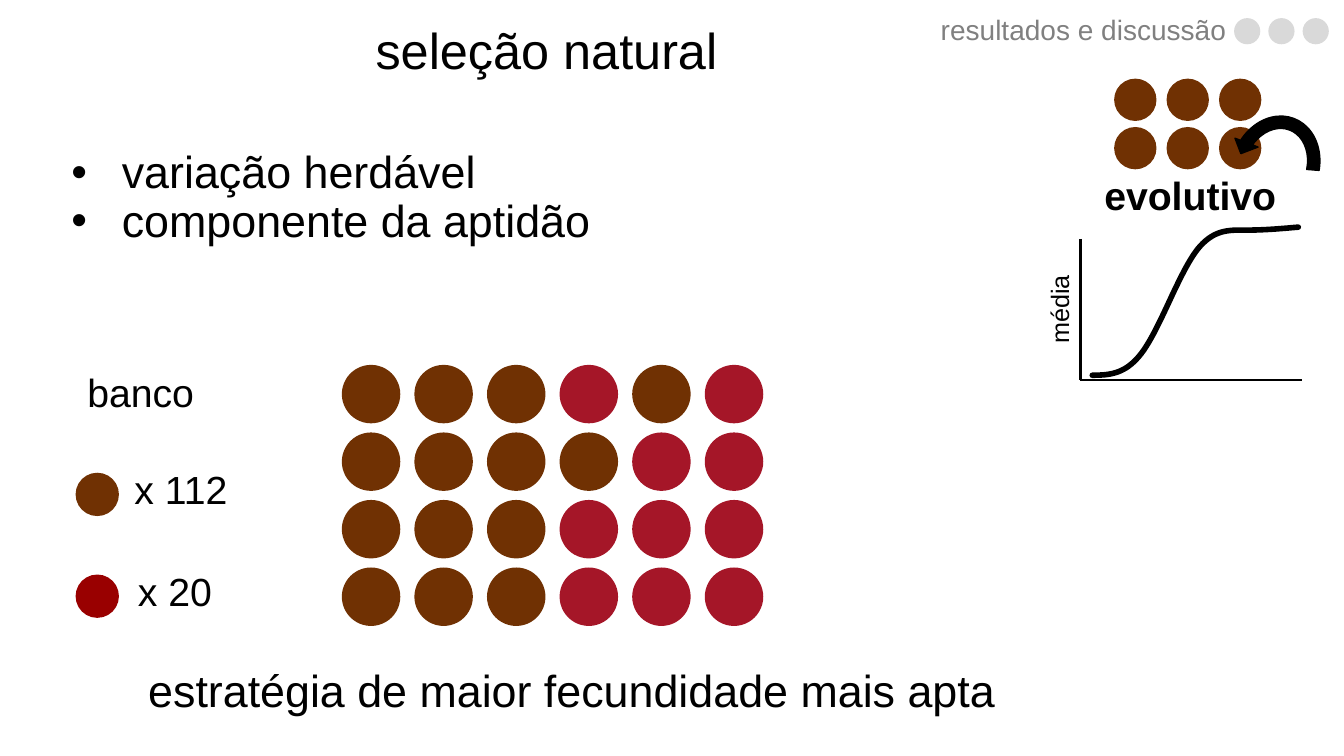
"""Build the natural selection slide."""
from lxml.etree import SubElement as Sub
from pptx import Presentation
from pptx.chart.data import CategoryChartData as Data
from pptx.dml.color import RGBColor
from pptx.enum.chart import XL_CHART_TYPE as Chart
from pptx.enum.shapes import MSO_CONNECTOR as Line, MSO_SHAPE as Shape
from pptx.enum.text import MSO_ANCHOR as Anchor, PP_ALIGN as Align
from pptx.oxml.ns import qn
from pptx.util import Pt

SCALE = 9144
BLACK, BROWN, RED, DARK = "000000", "703103", "A51628", "990000"
GREY, PALE = "808080", "D9D9D9"
BANK = ["BBBRBR", "BBBBRR", "BBBRRR", "BBBRRR"]


def emu(*px):
    return [round(n * SCALE) for n in px]


def paint(fmt, color):
    if hasattr(fmt, "solid"):
        fmt.solid()
        fmt = fmt.fore_color
    fmt.rgb = RGBColor.from_string(color)


def add_text(slide, box, text, size, color=BLACK, bold=False, align=Align.CENTER,
             anchor=Anchor.MIDDLE, gap=0.9, inset=(10, 5), turn=0, bullet=False):
    shape = slide.shapes.add_textbox(*emu(*box))
    shape.rotation = turn
    frame = shape.text_frame
    frame.word_wrap = True
    frame.vertical_anchor = anchor
    side, edge = emu(*inset)
    frame.margin_left = frame.margin_right = side
    frame.margin_top = frame.margin_bottom = edge
    frame.text = text
    for para in frame.paragraphs:
        para.alignment = align
        para.line_spacing = gap
        if bullet:
            props = para._p.get_or_add_pPr()
            props.set("marL", str(50 * SCALE))
            props.set("indent", str(-50 * SCALE))
            Sub(props, qn("a:buFont")).set("typeface", "Arial")
            Sub(props, qn("a:buChar")).set("char", "•")
        font = para.runs[0].font
        font.name, font.size, font.bold = "Arial", Pt(size), bold
        paint(font.color, color)


def add_dot(slide, left, top, size, color):
    dot = slide.shapes.add_shape(Shape.OVAL, *emu(left, top, size, size))
    dot.shadow.inherit = False
    paint(dot.fill, color)
    dot.line.fill.background()


def add_grid(slide, left, top, size, step, rows, colors):
    across, down = step
    for row, keys in enumerate(rows):
        for col, key in enumerate(keys):
            add_dot(slide, left + col * across, top + row * down, size, colors[key])


def add_line(slide, *ends):
    line = slide.shapes.add_connector(Line.STRAIGHT, *emu(*ends))
    paint(line.line.fill, BLACK)
    line.line.width = Pt(2)
    Sub(line._element.spPr, qn("a:effectLst"))


def add_arrow(slide, box):
    arrow = slide.shapes.add_shape(Shape.CIRCULAR_ARROW, *emu(*box))
    arrow.shadow.inherit = False
    for i, value in enumerate([0.125, 11.42, 204.58, 117.73, 0.125]):
        arrow.adjustments[i] = value
    arrow.rotation = 200.9
    arrow._element.spPr.find(qn("a:xfrm")).set("flipV", "1")
    paint(arrow.fill, BLACK)
    paint(arrow.line.fill, BLACK)
    arrow.line.width = Pt(1)


def add_curve(slide, box):
    data = Data()
    data.categories = ["1", "2", "3", "4", "5"]
    data.add_series("Series 1", [0, 17, 83, 98, 100])
    chart = slide.shapes.add_chart(Chart.LINE, *emu(*box), data).chart
    chart.has_legend = chart.has_title = False
    chart.font.name, chart.font.size = "Calibri", Pt(10)
    paint(chart.font.color, BLACK)
    axis = chart.value_axis
    axis.minimum_scale, axis.maximum_scale = 0, 120
    axis.has_major_gridlines = False
    axis.visible = chart.category_axis.visible = False
    chart.plots[0].vary_by_categories = False
    curve = chart.plots[0].series[0]
    curve.smooth = True
    curve.format.line.width = Pt(4)
    paint(curve.format.line.fill, BLACK)
    curve.format.line._ln.set("cap", "rnd")
    area = chart._chartSpace.chart.plotArea
    for old in area.findall(qn("c:layout")):
        area.remove(old)
    frame = Sub(area, qn("c:layout"))
    area.insert(0, frame)
    manual = Sub(frame, qn("c:manualLayout"))
    for tag, value in [("layoutTarget", "inner"), ("xMode", "edge"), ("yMode", "edge"),
                       ("x", "0.04"), ("y", "0"), ("w", "0.95"), ("h", "0.98")]:
        Sub(manual, qn("c:" + tag)).set("val", value)


def main():
    deck = Presentation()
    deck.slide_width, deck.slide_height = emu(1333, 750)
    slide = deck.slides.add_slide(deck.slide_layouts[6])
    colors = {"B": BROWN, "R": RED, "P": PALE}

    add_grid(slide, 1105, 78, 42, (52, 48), ["BBB", "BBB"], colors)
    add_arrow(slide, (1216, 108, 98, 115))
    add_text(slide, (1042, 124, 277, 145), "evolutivo", 28, bold=True)
    add_curve(slide, (1047, 196, 269, 180))
    add_line(slide, 1071, 377, 1291, 377)
    add_line(slide, 1072, 237, 1072, 377)
    add_text(slide, (952, 281, 197, 52), "média", 18, anchor=Anchor.TOP,
             gap=1.0, inset=(16, 11), turn=270)

    add_text(slide, (778, 8, 448, 47), "resultados e discussão", 20, GREY,
             align=Align.RIGHT)
    add_grid(slide, 1224, 18, 26, (34, 0), ["PPP"], colors)
    add_text(slide, (327, 21, 430, 67), "seleção natural", 36, anchor=Anchor.TOP)
    add_text(slide, (61, 126, 871, 142), "variação herdável\ncomponente da aptidão",
             32, align=Align.LEFT, bullet=True)

    add_grid(slide, 339, 362, 58, (72, 67), BANK, colors)
    add_text(slide, (1, 319, 277, 145), "banco", 28)
    add_dot(slide, 75, 469, 43, BROWN)
    add_text(slide, (41, 415, 277, 145), "x 112", 28)
    add_dot(slide, 75, 570, 43, DARK)
    add_text(slide, (35, 517, 277, 145), "x 20", 28)
    add_text(slide, (132, 613, 871, 142), "estratégia de maior fecundidade mais apta",
             32, gap=1.0)
    deck.save("out.pptx")


if __name__ == "__main__":
    main()
